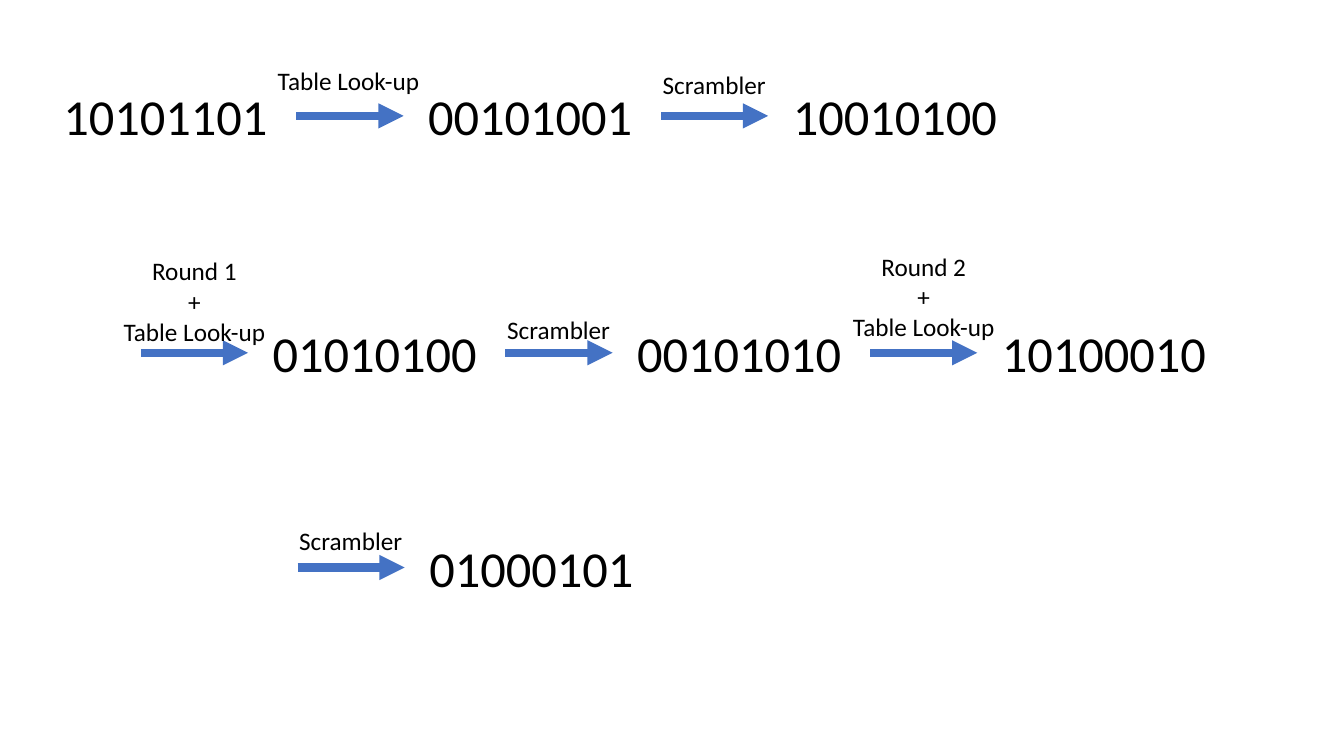
from pptx import Presentation
from pptx.dml.color import RGBColor
from pptx.enum.shapes import MSO_CONNECTOR as Connector
from pptx.enum.text import MSO_AUTO_SIZE as AutoSize, PP_ALIGN as Align
from pptx.oxml.ns import qn
from pptx.util import Cm, Pt
from lxml.etree import SubElement

BLUE = RGBColor(0x44, 0x72, 0xC4)
BLACK = RGBColor(0, 0, 0)
FONT = "Calibri"

LOOKUP = ["Table Look-up"]
SCRAMBLER = ["Scrambler"]
ROUND_1 = ["Round 1", "+", "Table Look-up"]
ROUND_2 = ["Round 2", "+", "Table Look-up"]

# left of the first step, arrow height, steps of (label, label top, bits)
ROWS = [
    (-1.72, 2.92, [(None, None, "10101101"),
                   (LOOKUP, 1.52, "00101001"),
                   (SCRAMBLER, 1.63, "10010100")]),
    (3.55, 8.89, [(ROUND_1, 6.32, "01010100"),
                  (SCRAMBLER, 7.8, "00101010"),
                  (ROUND_2, 6.2, "10100010")]),
    (7.5, 14.3, [(SCRAMBLER, 13.11, "01000101")]),
]

STEP = 9.19
ARROW = 2.7
BITS_DX, BITS_DY = 3.07, -0.89
BITS_W, BITS_H = 5.72, 1.8
LOOKUP_W, SCRAMBLER_W = 4.14, 3.12
LINE_H, INSETS = 0.77, 0.25


def add_text(s, lines, x, y, w, h, size):
    tf = s.shapes.add_textbox(Cm(x), Cm(y), Cm(w), Cm(h)).text_frame
    tf.word_wrap = False
    tf.auto_size = AutoSize.SHAPE_TO_FIT_TEXT
    tf.text = "\n".join(lines)
    for p in tf.paragraphs:
        p.font.name, p.font.size = FONT, Pt(size)
        p.font.color.rgb = BLACK
        if len(lines) > 1:
            p.alignment = Align.CENTER


def add_arrow(s, x, y):
    arrow = s.shapes.add_connector(
        Connector.STRAIGHT, Cm(x), Cm(y), Cm(x + ARROW), Cm(y))
    arrow.line.color.rgb = BLUE
    arrow.line.width = Pt(6)
    SubElement(arrow.line._get_or_add_ln(), qn("a:tailEnd"), type="triangle")
    SubElement(arrow._element.spPr, qn("a:effectLst"))


def main():
    prs = Presentation()
    prs.slide_width, prs.slide_height = Cm(33.87), Cm(19.05)
    s = prs.slides.add_slide(prs.slide_layouts[6])
    for left, y, steps in ROWS:
        for i, (label, label_top, bits) in enumerate(steps):
            x = left + i * STEP
            if label:
                add_arrow(s, x, y)
                w = SCRAMBLER_W if label == SCRAMBLER else LOOKUP_W
                h = len(label) * LINE_H + INSETS
                add_text(s, label, x + (ARROW - w) / 2, label_top, w, h, 18)
            add_text(s, [bits], x + BITS_DX, y + BITS_DY, BITS_W, BITS_H, 36)
    prs.save("out.pptx")


if __name__ == "__main__":
    main()
